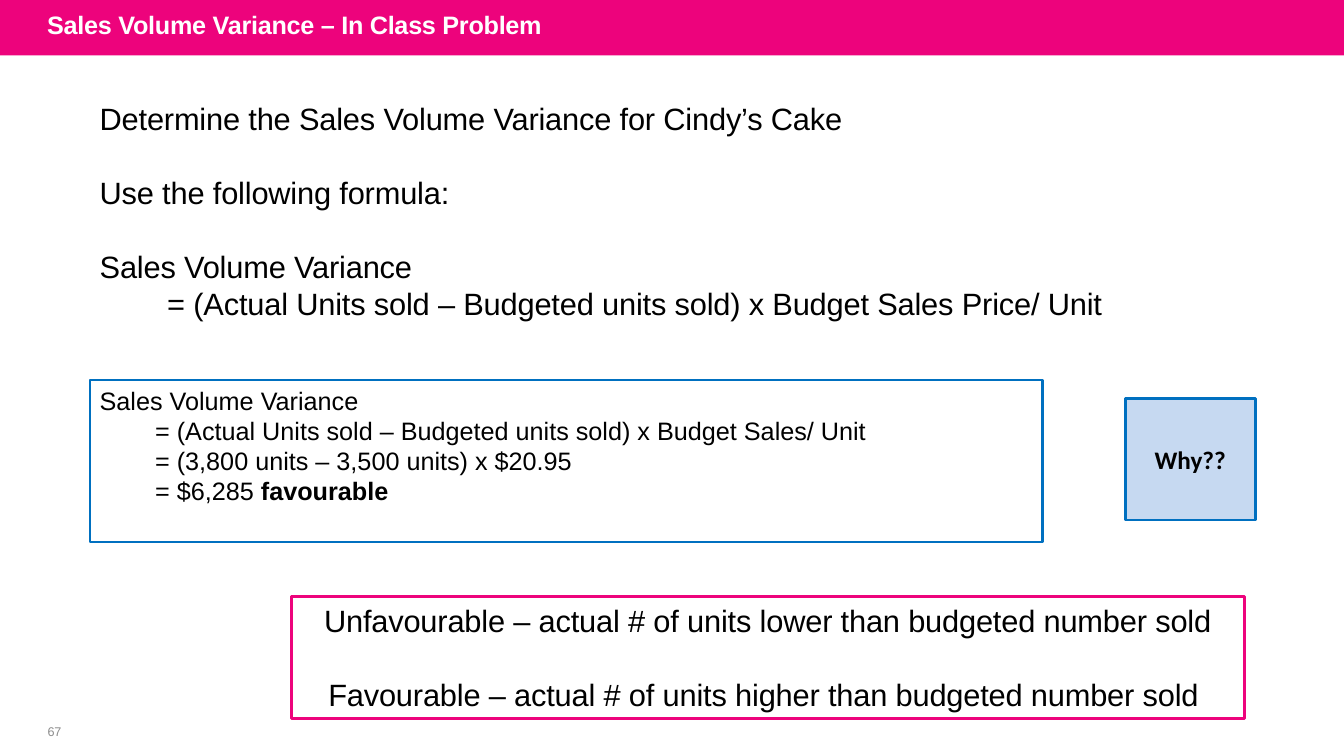
import pptx
import pptx.dml.color
import pptx.enum.shapes
import pptx.enum.text
import pptx.util
from dataclasses import dataclass

Inches = pptx.util.Inches
Pt = pptx.util.Pt
ALIGN = pptx.enum.text.PP_ALIGN
ANCHOR = pptx.enum.text.MSO_ANCHOR


@dataclass(frozen=True)
class Theme:
    pink: str = "ED037C"
    blue: str = "0070C0"
    pale_blue: str = "C6D9F1"
    black: str = "000000"
    white: str = "FFFFFF"
    grey: str = "8C8C8C"
    font: str = "Arial"
    callout_font: str = "Calibri"
    large: float = 22
    medium: float = 18
    small: float = 9
    leading: float = 1.2


THEME = Theme()


def color(value):
    return pptx.dml.color.RGBColor.from_string(value)


def add_box(slide, box, fill=None, line=None, line_width=0):
    """Add a rectangle with optional fill and outline."""
    shape = slide.shapes.add_shape(
        pptx.enum.shapes.MSO_SHAPE.RECTANGLE, *map(Inches, box))
    shape.shadow.inherit = False
    if fill:
        shape.fill.solid()
        shape.fill.fore_color.rgb = color(fill)
    else:
        shape.fill.background()
    if line:
        shape.line.color.rgb = color(line)
        shape.line.width = Pt(line_width)
    else:
        shape.line.fill.background()
    return shape


def prepare_frame(shape, anchor=ANCHOR.TOP):
    frame = shape.text_frame
    frame.word_wrap = True
    frame.vertical_anchor = anchor
    return frame


def format_run(run, size, text_color=THEME.black, bold=False,
               font=THEME.font, tracking=0):
    run.font.name = font
    run.font.size = Pt(size)
    run.font.bold = bold
    run.font.color.rgb = color(text_color)
    if tracking:
        run._r.get_or_add_rPr().set("spc", str(round(tracking * 100)))


def write_lines(frame, lines, size, align=ALIGN.LEFT, gaps=(), indent=0,
                tracking=0):
    """Write one paragraph per line; lines starting with = are indented."""
    frame.text = "\n".join(lines)
    for index, paragraph in enumerate(frame.paragraphs):
        paragraph.alignment = align
        paragraph.line_spacing = Pt(size * THEME.leading)
        if index in gaps:
            paragraph.space_before = Pt(size * THEME.leading)
        if lines[index].startswith("="):
            paragraph._p.get_or_add_pPr().set("marL", str(Inches(indent)))
        for run in paragraph.runs:
            format_run(run, size, tracking=tracking)


def add_header(slide, box):
    left, top, width, height = box
    add_box(slide, box, fill=THEME.pink)
    title = slide.shapes.add_textbox(
        Inches(left + 0.37), Inches(top - 0.03), Inches(10.5), Inches(height))
    frame = prepare_frame(title, ANCHOR.MIDDLE)
    frame.text = "Sales Volume Variance – In Class Problem"
    format_run(frame.paragraphs[0].runs[0], THEME.medium, THEME.white,
               bold=True, tracking=-0.2)


def add_question(slide, box):
    frame = prepare_frame(slide.shapes.add_textbox(*map(Inches, box)))
    write_lines(frame, [
        "Determine the Sales Volume Variance for Cindy’s Cake",
        "Use the following formula:",
        "Sales Volume Variance",
        "= (Actual Units sold – Budgeted units sold) x Budget Sales Price/ Unit",
    ], THEME.large, gaps=(1, 2), indent=0.67, tracking=-0.1)


def add_solution(slide, box):
    frame = prepare_frame(add_box(slide, box, line=THEME.blue, line_width=1.75))
    write_lines(frame, [
        "Sales Volume Variance",
        "= (Actual Units sold – Budgeted units sold) x Budget Sales/ Unit",
        "= (3,800 units – 3,500 units) x $20.95",
        "= $6,285 ",
    ], THEME.medium, indent=0.55)
    verdict = frame.paragraphs[-1].add_run()
    verdict.text = "favourable"
    format_run(verdict, THEME.medium, bold=True)


def add_rule(slide, box):
    frame = prepare_frame(add_box(slide, box, line=THEME.pink, line_width=2.25))
    write_lines(frame, [
        "Unfavourable – actual # of units lower than budgeted number sold",
        "Favourable – actual # of units higher than budgeted number sold ",
    ], THEME.large, align=ALIGN.CENTER, gaps=(1,), tracking=-0.1)


def add_callout(slide, box):
    shape = add_box(slide, box, THEME.pale_blue, THEME.blue, 2)
    frame = prepare_frame(shape, ANCHOR.MIDDLE)
    frame.text = "Why??"
    frame.paragraphs[0].alignment = ALIGN.CENTER
    format_run(frame.paragraphs[0].runs[0], THEME.medium, bold=True,
               font=THEME.callout_font)


def add_page_number(slide, box):
    frame = prepare_frame(slide.shapes.add_textbox(*map(Inches, box)),
                          ANCHOR.MIDDLE)
    frame.margin_left = Inches(0.04)
    frame.margin_right = frame.margin_top = frame.margin_bottom = 0
    frame.text = "67"
    frame.paragraphs[0].alignment = ALIGN.CENTER
    format_run(frame.paragraphs[0].runs[0], THEME.small, THEME.grey,
               tracking=-0.1)


def main():
    presentation = pptx.Presentation()
    presentation.slide_width = Inches(13.33)
    presentation.slide_height = Inches(7.5)
    slide = presentation.slides.add_slide(presentation.slide_layouts[6])

    add_header(slide, (0, 0, 13.33, 0.55))
    add_page_number(slide, (0.26, 7.14, 0.52, 0.24))
    add_question(slide, (0.89, 0.94, 11.18, 2.69))
    add_solution(slide, (0.89, 3.77, 9.45, 1.61))
    add_rule(slide, (2.89, 5.92, 9.45, 1.21))
    add_callout(slide, (11.16, 3.95, 1.29, 1.21))

    presentation.save("out.pptx")


if __name__ == "__main__":
    main()
